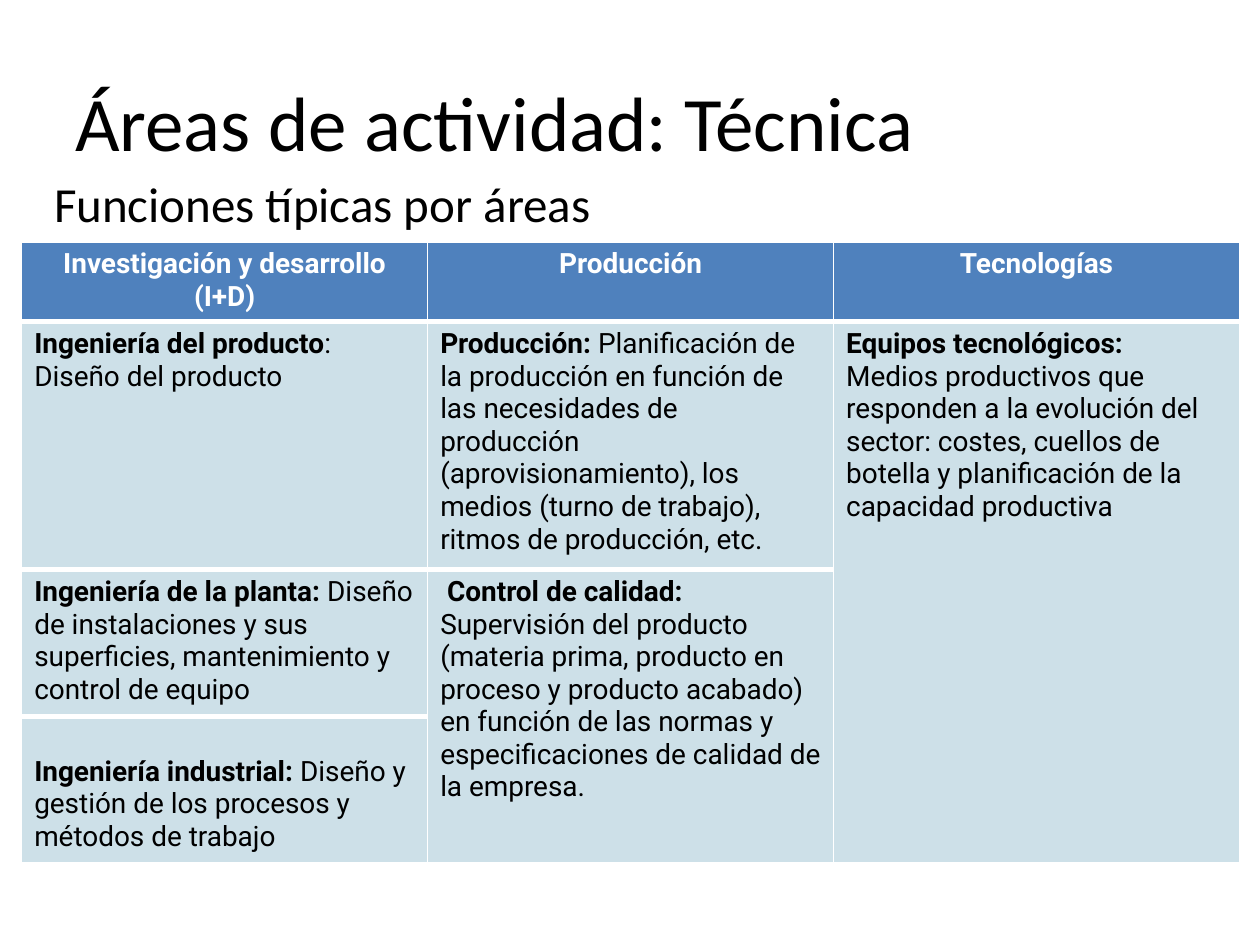
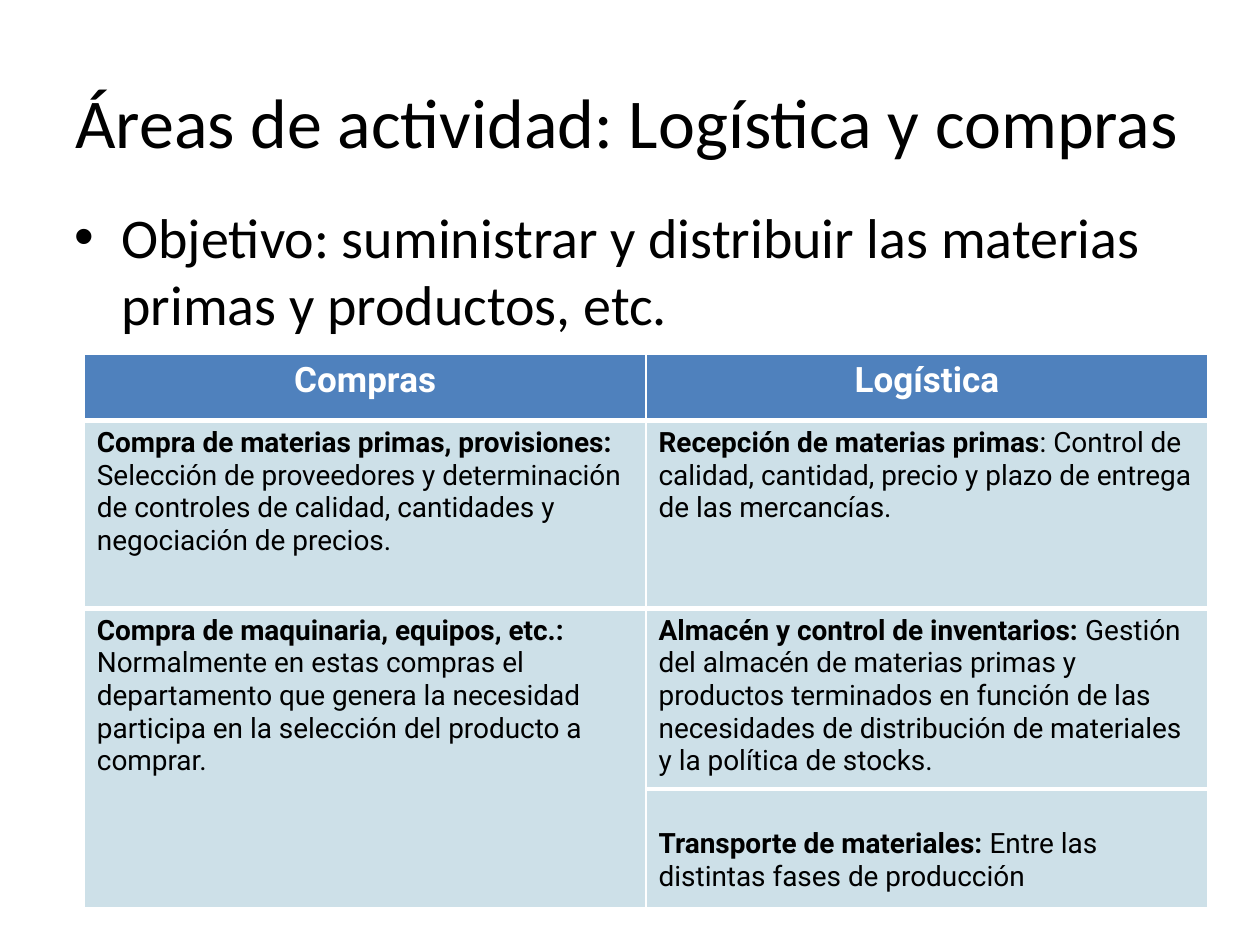
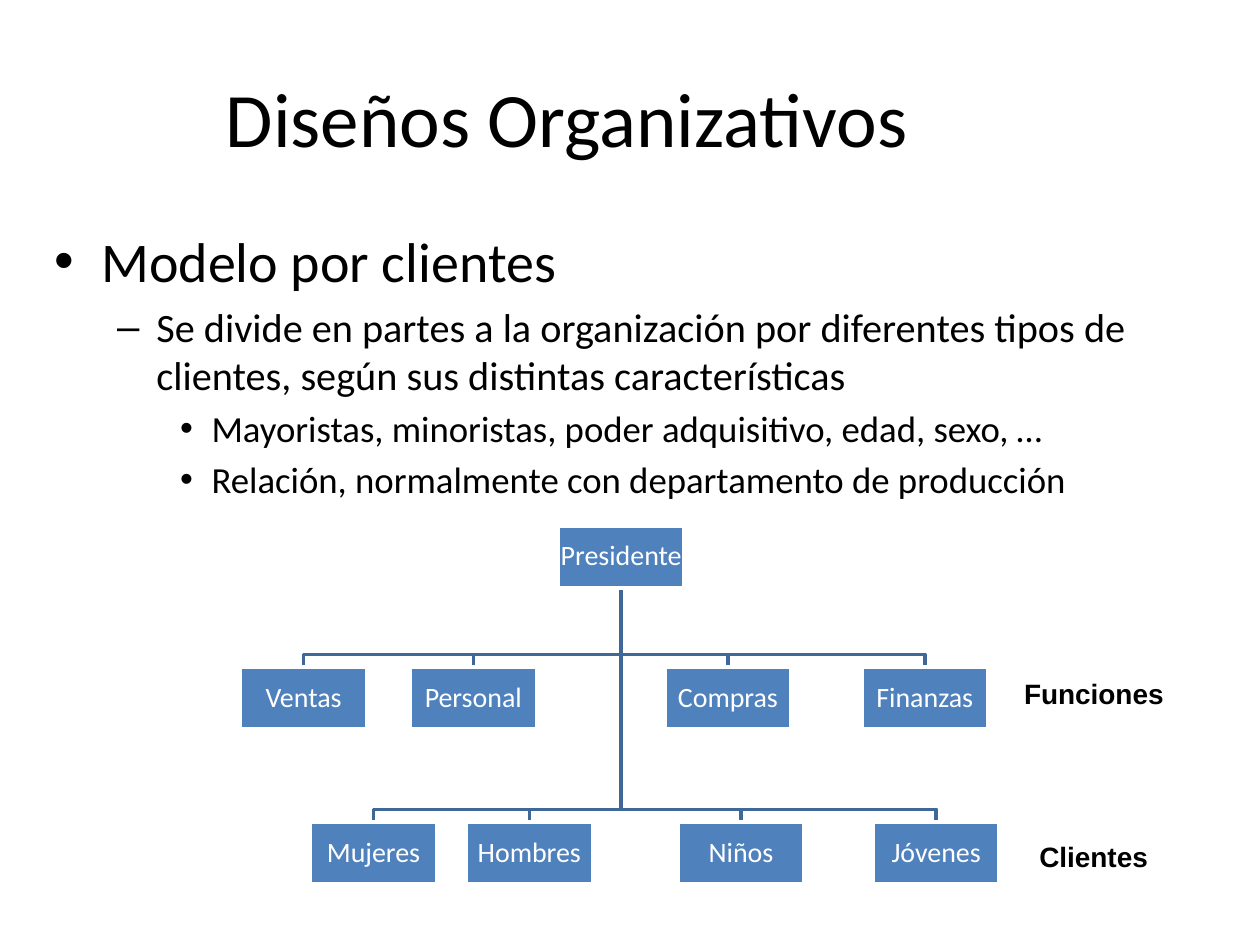
from lxml import etree
from pptx import Presentation
from pptx.dml.color import RGBColor
from pptx.enum.shapes import MSO_SHAPE
from pptx.enum.text import MSO_ANCHOR, PP_ALIGN
from pptx.oxml.ns import qn
from pptx.util import Pt

BLACK = RGBColor(0x00, 0x00, 0x00)
WHITE = RGBColor(0xFF, 0xFF, 0xFF)
BLUE = RGBColor(0x4F, 0x81, 0xBD)
DARK_BLUE = RGBColor(0x3F, 0x67, 0x97)
PALE_BLUE = RGBColor(0xCD, 0xE0, 0xE8)

LEFT, CENTER = PP_ALIGN.LEFT, PP_ALIGN.CENTER
TOP, MIDDLE = MSO_ANCHOR.TOP, MSO_ANCHOR.MIDDLE
RECTANGLE = MSO_SHAPE.RECTANGLE

HEAD_FONT, TABLE_FONT, LABEL_FONT = "Calibri", "Roboto", "Arial"
CELL_SIZE = 16
CELL_PAD = 3.6
BLANK_LINE = 18.8
THIN, THICK = 1, 3

# level: (left margin, hanging indent, bullet)
BULLETS = [(27, 27, "•"), (58.5, 22.5, "–"), (90, 18, "•")]

NODE_W, NODE_H = 72, 35.5
ELBOW_RISE = 7.2

TECHNICAL_ROWS = [
    [
        [("Ingeniería del producto", ": Diseño del producto")],
        [("Producción: ", "Planificación de la producción en función de las "
          "necesidades de producción (aprovisionamiento), los medios (turno de "
          "trabajo), ritmos de producción, etc.")],
        [("Equipos tecnológicos:", ""),
         ("", "Medios productivos que responden a la evolución del sector: "
          "costes, cuellos de botella y planificación de la capacidad productiva")],
    ],
    [
        [("Ingeniería de la planta: ", "Diseño de instalaciones y sus "
          "superficies, mantenimiento y control de equipo")],
        [(" Control de calidad:", ""),
         ("", "Supervisión del producto (materia prima, producto en proceso y "
          "producto acabado) en función de las normas y especificaciones de "
          "calidad de la empresa.")],
        None,
    ],
    [
        [("Ingeniería industrial: ", "Diseño y gestión de los procesos y "
          "métodos de trabajo")],
        None,
        None,
    ],
]

LOGISTICS_ROWS = [
    [
        [("Compra de materias primas, provisiones: ", "Selección de proveedores "
          "y determinación de controles de calidad, cantidades y negociación de "
          "precios.")],
        [("Recepción de materias primas", ": Control de calidad, cantidad, "
          "precio y plazo de entrega de las mercancías.")],
    ],
    [
        [("Compra de maquinaria, equipos, etc.:", ""),
         ("", "Normalmente en estas compras el departamento que genera la "
          "necesidad participa en la selección del producto a comprar.")],
        [("Almacén y control de inventarios: ", "Gestión del almacén de materias "
          "primas y productos terminados en función de las necesidades de "
          "distribución de materiales y la política de stocks.")],
    ],
    [
        None,
        [("Transporte de materiales: ", "Entre las distintas fases de producción")],
    ],
]

# branch: (top, [(name, left)], label, label left, label top)
BRANCHES = [
    (80.7, [("Ventas", 0), ("Personal", 97), ("Compras", 242.5),
            ("Finanzas", 355)], "Funciones", 440.6, 82.8),
    (169.2, [("Mujeres", 40), ("Hombres", 129), ("Niños", 250),
             ("Jóvenes", 361.5)], "Clientes", 449.3, 175.7),
]


def set_font(font, name, size, color=BLACK, bold=False):
    font.name, font.size, font.bold = name, Pt(size), bold
    font.color.rgb = color


def add_text_frame(s, box, anchor=TOP):
    tf = s.shapes.add_textbox(*map(Pt, box)).text_frame
    tf.word_wrap = True
    tf.vertical_anchor = anchor
    return tf


def add_line_text(s, box, text, name, size, bold=False, align=LEFT, anchor=TOP):
    """Text box with a single paragraph."""
    p = add_text_frame(s, box, anchor).paragraphs[0]
    p.text, p.alignment = text, align
    set_font(p.font, name, size, bold=bold)


def add_title(s, text, size=44, left=36, top=23.8, align=LEFT):
    add_line_text(s, (left, top, 648, 90), text, HEAD_FONT, size,
                  align=align, anchor=MIDDLE)


def add_body(s, box, items):
    """Items are (text, size, level); level None gives a plain paragraph."""
    tf = add_text_frame(s, box)
    for i, (text, size, level) in enumerate(items):
        p = tf.add_paragraph() if i else tf.paragraphs[0]
        p.text = text
        set_font(p.font, HEAD_FONT, size)
        pPr = p._p.get_or_add_pPr()
        before = etree.Element(qn("a:spcBef"))
        etree.SubElement(before, qn("a:spcPct"), val="20000")
        pPr.insert(0, before)
        if level is None:
            continue
        margin, hanging, bullet = BULLETS[level]
        pPr.set("marL", str(Pt(margin)))
        pPr.set("indent", str(-Pt(hanging)))
        mark_font = etree.Element(qn("a:buFont"), typeface="Arial")
        mark = etree.Element(qn("a:buChar"), char=bullet)
        before.addnext(mark_font)
        mark_font.addnext(mark)


def style_cell(cell, color, top, bottom):
    """White borders, then the fill, in the order the format requires."""
    tcPr = cell._tc.get_or_add_tcPr()
    for side, width in (("L", THIN), ("R", THIN), ("T", top), ("B", bottom)):
        ln = etree.SubElement(tcPr, qn(f"a:ln{side}"), w=str(Pt(width)))
        fill = etree.SubElement(ln, qn("a:solidFill"))
        etree.SubElement(fill, qn("a:srgbClr"), val=str(WHITE))
    cell.fill.solid()
    cell.fill.fore_color.rgb = color


def fill_cell(cell, paragraphs):
    tf = cell.text_frame
    for i, parts in enumerate(paragraphs):
        p = tf.add_paragraph() if i else tf.paragraphs[0]
        for text, bold in zip(parts, (True, False)):
            if text:
                r = p.add_run()
                r.text = text
                set_font(r.font, TABLE_FONT, CELL_SIZE, bold=bold)


def add_function_table(s, left, top, width, heights, headers, header_size, rows):
    """None in rows continues the cell above it."""
    n_rows, n_cols = len(heights), len(headers)
    table = s.shapes.add_table(n_rows, n_cols, Pt(left), Pt(top), Pt(width),
                               Pt(sum(heights))).table
    table.horz_banding = False
    for column in table.columns:
        column.width = Pt(width / n_cols)
    for row, height in zip(table.rows, heights):
        row.height = Pt(height)
    for j, text in enumerate(headers):
        cell = table.cell(0, j)
        style_cell(cell, BLUE, THIN, THICK)
        p = cell.text_frame.paragraphs[0]
        p.text, p.alignment = text, CENTER
        set_font(p.font, TABLE_FONT, header_size, WHITE, bold=True)
    for i, row in enumerate(rows, 1):
        for j, paragraphs in enumerate(row):
            if paragraphs is None:
                continue
            end = i
            while end + 1 < n_rows and rows[end][j] is None:
                end += 1
            cell = table.cell(i, j)
            if end > i:
                cell.merge(table.cell(end, j))
            style_cell(cell, PALE_BLUE, THICK, THIN if end == n_rows - 1 else THICK)
            fill_cell(cell, paragraphs)
            if i == n_rows - 1:
                cell.margin_top = Pt(CELL_PAD + BLANK_LINE)


def add_elbow(s, x1, y1, x2, y2):
    builder = s.shapes.build_freeform(Pt(x1), Pt(y1))
    bend = y2 - ELBOW_RISE
    builder.add_line_segments([(Pt(x), Pt(y)) for x, y in
                               ((x1, bend), (x2, bend), (x2, y2))], close=False)
    sp = builder.convert_to_shape()
    sp.shadow.inherit = False
    sp.fill.background()
    sp.line.color.rgb, sp.line.width = DARK_BLUE, Pt(2)


def add_node(s, left, top, text):
    sp = s.shapes.add_shape(RECTANGLE, Pt(left), Pt(top), Pt(NODE_W), Pt(NODE_H))
    sp.shadow.inherit = False
    sp.fill.solid()
    sp.fill.fore_color.rgb = BLUE
    sp.line.color.rgb, sp.line.width = WHITE, Pt(2)
    tf = sp.text_frame
    tf.margin_left = tf.margin_right = tf.margin_top = tf.margin_bottom = Pt(0.8)
    tf.vertical_anchor = MIDDLE
    p = tf.paragraphs[0]
    p.text, p.alignment, p.line_spacing = text, CENTER, 0.9
    set_font(p.font, HEAD_FONT, 16, WHITE)


def add_org_chart(s, left, top, root, root_left, branches):
    root_x = left + root_left
    nodes = [(left + x, top + y, name)
             for y, children, *_ in branches for name, x in children]
    for x, y, _ in nodes:
        add_elbow(s, root_x + NODE_W / 2, top + NODE_H, x + NODE_W / 2, y)
    for x, y, name in [(root_x, top, root)] + nodes:
        add_node(s, x, y, name)
    for _, _, label, x, y in branches:
        add_line_text(s, (left + x, top + y, 106, 26.6), label, LABEL_FONT, 16,
                      bold=True)


def build_technical(s):
    add_body(s, (23.8, 95.8, 648, 356), [("Funciones típicas por áreas", 28, None)])
    add_title(s, "Áreas de actividad: Técnica")
    add_function_table(s, 12.4, 138.2, 696, (44.4, 137, 81.8, 81.8),
                       ("Investigación y desarrollo (I+D)", "Producción",
                        "Tecnologías"), 16, TECHNICAL_ROWS)


def build_logistics(s):
    add_body(s, (35.3, 112.3, 648, 356),
             [("Objetivo: suministrar y distribuir las materias primas y "
               "productos, etc.", 32, 0)])
    add_title(s, "Áreas de actividad: Logística y compras", size=40)
    add_function_table(s, 48.2, 202.3, 642, (38, 107.3, 100.2, 68),
                       ("Compras", "Logística"), 20, LOGISTICS_ROWS)


def build_designs(s):
    add_body(s, (23.8, 126, 648, 360), [
        ("Modelo por clientes", 32, 0),
        ("Se divide en partes a la organización por diferentes tipos de "
         "clientes, según sus distintas características", 23, 1),
        ("Mayoristas, minoristas, poder adquisitivo, edad, sexo, …", 21, 2),
        ("Relación, normalmente con departamento de producción", 21, 2),
    ])
    add_title(s, "Diseños Organizativos", left=0, top=21.6, align=CENTER)
    add_org_chart(s, 137.5, 300.5, "Presidente", 181.5, BRANCHES)


def main():
    prs = Presentation()
    prs.slide_width, prs.slide_height = Pt(720), Pt(540)
    for build in (build_technical, build_logistics, build_designs):
        build(prs.slides.add_slide(prs.slide_layouts[6]))
    prs.save("out.pptx")


if __name__ == "__main__":
    main()
